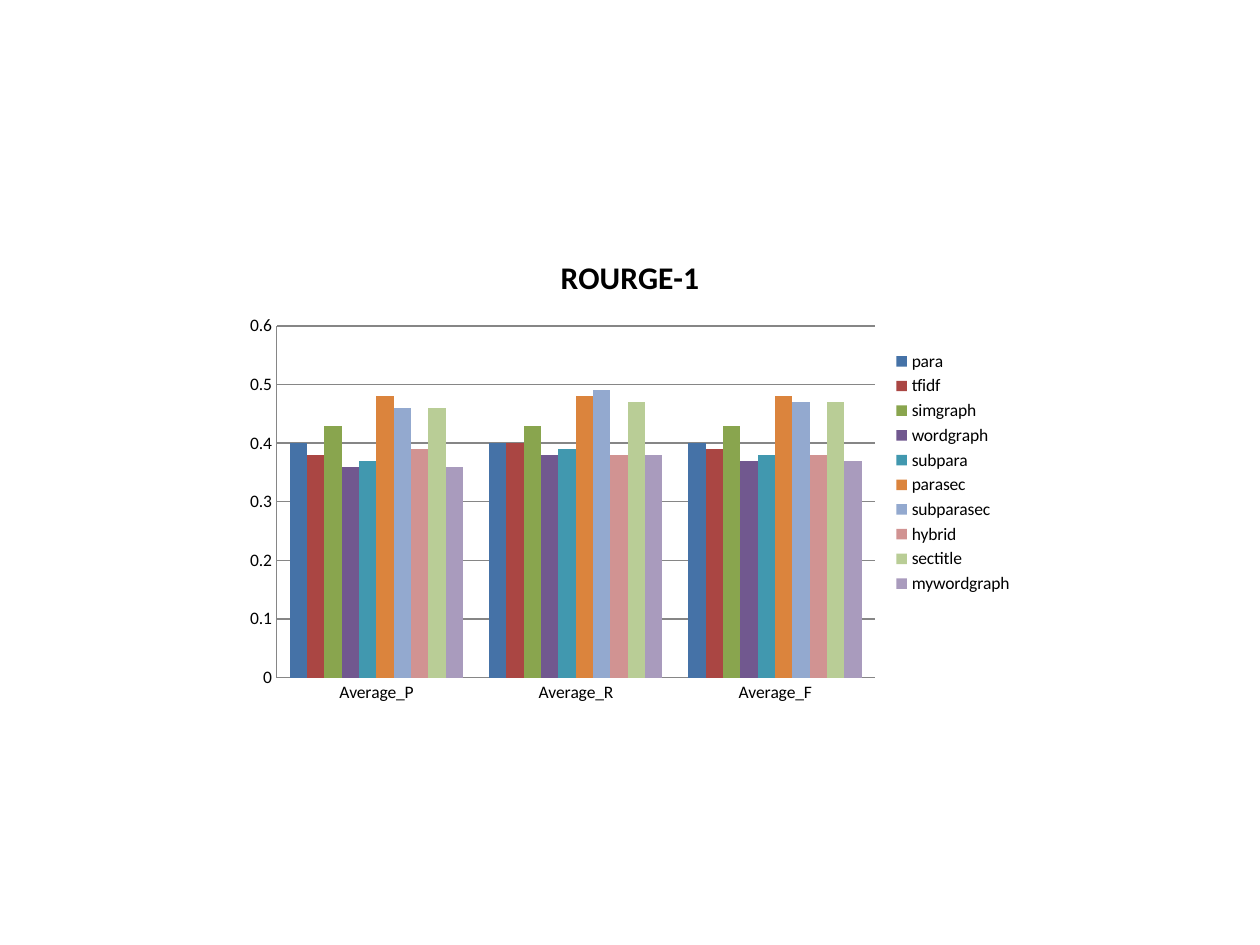
from dataclasses import dataclass

from pptx import Presentation
from pptx import util as u
from pptx.chart import data as chart_data
from pptx.dml import color
from pptx.enum import chart as ch


@dataclass(frozen=True)
class Theme:
    """Colours, typeface and type sizes of the slide."""
    font: str = "Calibri"
    ink: str = "000000"
    rule: str = "868686"
    label_size: int = 10
    title_size: int = 18
    rule_width: float = 0.75


THEME = Theme()
MEASURES = ("Average_P", "Average_R", "Average_F")
METHODS = {
    "para": ("4572A7", (0.4, 0.4, 0.4)),
    "tfidf": ("AA4643", (0.38, 0.4, 0.39)),
    "simgraph": ("89A54E", (0.43, 0.43, 0.43)),
    "wordgraph": ("71588F", (0.36, 0.38, 0.37)),
    "subpara": ("4198AF", (0.37, 0.39, 0.38)),
    "parasec": ("DB843D", (0.48, 0.48, 0.48)),
    "subparasec": ("93A9CF", (0.46, 0.49, 0.47)),
    "hybrid": ("D19392", (0.39, 0.38, 0.38)),
    "sectitle": ("B9CD96", (0.46, 0.47, 0.47)),
    "mywordgraph": ("A99BBD", (0.36, 0.38, 0.37)),
}


def apply(target, formats):
    """Set each named attribute of the target."""
    for name, value in formats.items():
        setattr(target, name, value)


def style_font(font, size, bold=False):
    """Give a font the theme's typeface and ink."""
    apply(font, {"name": THEME.font, "size": u.Pt(size), "bold": bold})
    font.color.rgb = color.RGBColor.from_string(THEME.ink)


def style_rule(line):
    """Draw an axis or grid line in the theme's grey."""
    line.color.rgb = color.RGBColor.from_string(THEME.rule)
    line.width = u.Pt(THEME.rule_width)


def add_score_chart(slide, left, top, width, height):
    """Place the clustered score chart in the given box."""
    scores = chart_data.CategoryChartData(number_format="General")
    scores.categories = MEASURES
    for method, (_, values) in METHODS.items():
        scores.add_series(method, values)
    box = [u.Inches(length) for length in (left, top, width, height)]
    chart = slide.shapes.add_chart(
        ch.XL_CHART_TYPE.COLUMN_CLUSTERED, *box, scores).chart
    style_font(chart.font, THEME.label_size)

    apply(chart, {"has_title": True, "has_legend": True})
    heading = chart.chart_title.text_frame
    heading.text = "ROURGE-1"
    style_font(heading.paragraphs[0].runs[0].font, THEME.title_size, bold=True)
    apply(chart.legend, {"position": ch.XL_LEGEND_POSITION.RIGHT,
                         "include_in_layout": False})

    bars = chart.plots[0]
    apply(bars, {"gap_width": 150, "overlap": 0, "vary_by_categories": False})
    for series, (fill, _) in zip(bars.series, METHODS.values()):
        series.format.fill.solid()
        series.format.fill.fore_color.rgb = color.RGBColor.from_string(fill)
        series.invert_if_negative = False

    for axis in (chart.category_axis, chart.value_axis):
        apply(axis, {"major_tick_mark": ch.XL_TICK_MARK.NONE,
                     "minor_tick_mark": ch.XL_TICK_MARK.NONE})
        style_rule(axis.format.line)
    apply(chart.value_axis, {"minimum_scale": 0, "maximum_scale": 0.6,
                             "major_unit": 0.1, "has_major_gridlines": True})
    style_rule(chart.value_axis.major_gridlines.format.line)


def main():
    """Build and save the slide."""
    deck = Presentation()
    apply(deck, {"slide_width": u.Inches(10), "slide_height": u.Inches(7.5)})
    slide = deck.slides.add_slide(deck.slide_layouts[6])
    add_score_chart(slide, 1.86, 1.85, 6.28, 3.8)
    deck.save("out.pptx")


main()
